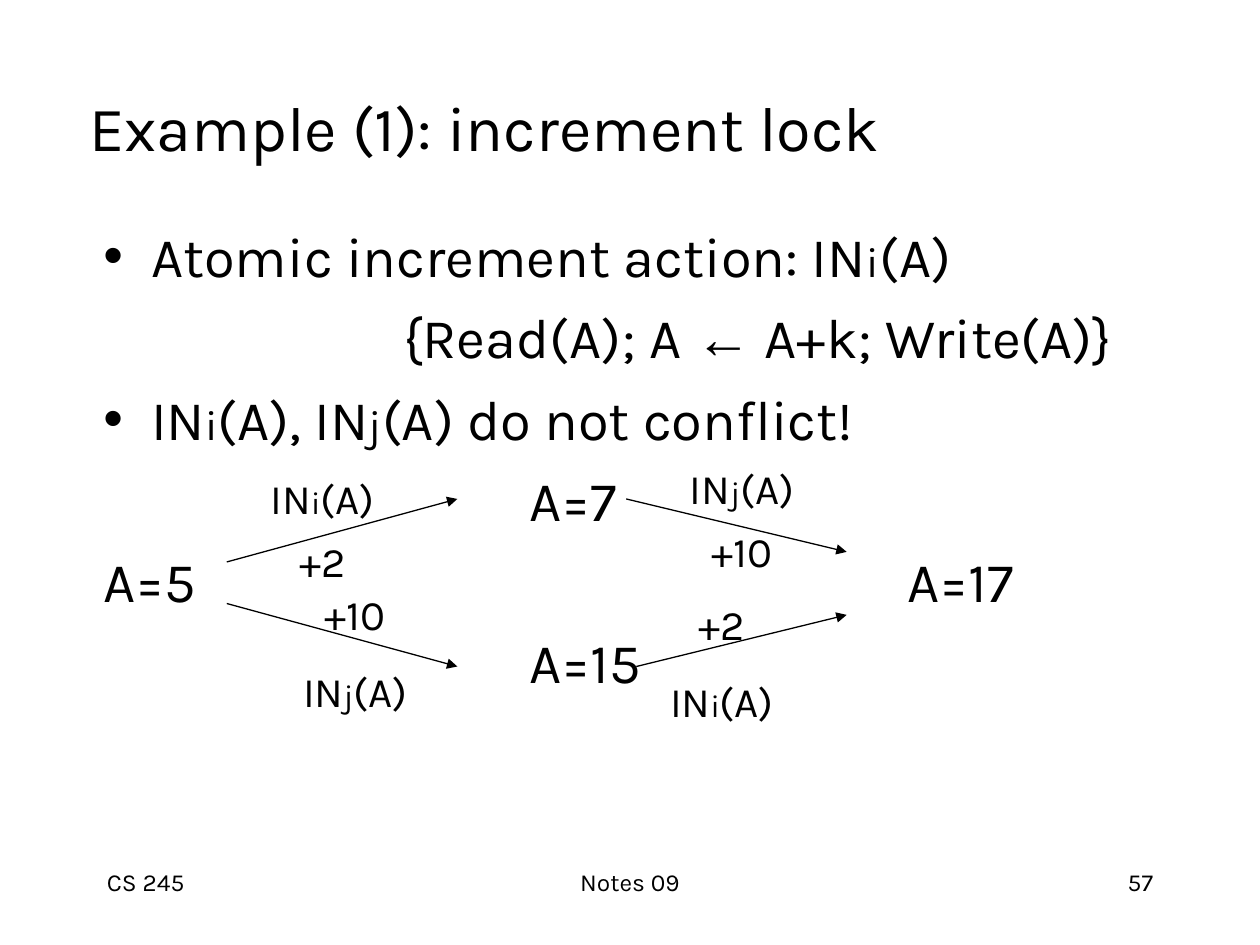
from dataclasses import dataclass
from lxml import etree
from pptx import Presentation
from pptx.dml.color import RGBColor
from pptx.enum.shapes import MSO_CONNECTOR
from pptx.enum.text import MSO_ANCHOR, MSO_AUTO_SIZE, PP_ALIGN
from pptx.oxml.ns import qn
from pptx.util import Inches, Pt

LEFT, MID, RIGHT = PP_ALIGN.LEFT, PP_ALIGN.CENTER, PP_ALIGN.RIGHT
TOP, CENTRE = MSO_ANCHOR.TOP, MSO_ANCHOR.MIDDLE
FIXED, GROW = MSO_AUTO_SIZE.NONE, MSO_AUTO_SIZE.SHAPE_TO_FIT_TEXT
STRAIGHT = MSO_CONNECTOR.STRAIGHT


@dataclass(frozen=True)
class Theme:
    """Colours, fonts and type sizes in points."""
    ink: RGBColor = RGBColor(0, 0, 0)
    paper: RGBColor = RGBColor(255, 255, 255)
    font: str = "Karla"
    sign: str = "Arial"
    title: int = 36
    body: tuple = (32, 24)
    label: tuple = (24, 18)
    foot: int = 14
    line: float = 0.75


THEME = Theme()


def place(shape, box):
    """Move a shape to a box given in inches."""
    shape.left, shape.top, shape.width, shape.height = map(Inches, box)


def setup(frame, anchor=TOP, wrap=True, fit=FIXED):
    """Set how a text frame lays out its text."""
    frame.word_wrap = wrap
    frame.auto_size = fit
    frame.vertical_anchor = anchor


def add_para(frame, first, align=LEFT, before=0):
    """Return the next paragraph of a frame, spaced from the one above."""
    para = frame.paragraphs[0] if first else frame.add_paragraph()
    para.alignment = align
    para.space_before = Pt(0 if first else before)
    return para


def add_run(para, text, size, font=THEME.font):
    """Add one styled run."""
    run = para.add_run()
    run.text = text
    run.font.size = Pt(size)
    run.font.name = font
    run.font.color.rgb = THEME.ink


def add_parts(para, parts, sizes):
    """Add runs, with index letters small and the arrow in the sign font."""
    for part in parts:
        size = sizes[1] if part in ("i", "j") else sizes[0]
        add_run(para, part, size, THEME.sign if part == "←" else THEME.font)


def add_list(para, bullet):
    """Give a paragraph its hanging indent, bullet and one-inch tabs."""
    props = para._p.get_or_add_pPr()
    props.set("marL", str(Inches(0.38)))
    props.set("indent", str(-Inches(0.38)))
    props.set("defTabSz", str(Inches(1)))
    if bullet:
        tint = etree.SubElement(props, qn("a:buClr"))
        etree.SubElement(tint, qn("a:srgbClr"), val=str(THEME.ink))
        etree.SubElement(props, qn("a:buFont"), typeface=THEME.sign)
        etree.SubElement(props, qn("a:buChar"), char="•")
    else:
        etree.SubElement(props, qn("a:buNone"))
    tabs = etree.SubElement(props, qn("a:tabLst"))
    for stop in range(8):
        etree.SubElement(tabs, qn("a:tab"), pos=str(Inches(stop + bullet)), algn="l")


def add_title(slide, box, text):
    """Fill the title placeholder."""
    shape = slide.shapes.title
    place(shape, box)
    setup(shape.text_frame, CENTRE)
    add_run(add_para(shape.text_frame, True), text, THEME.title)


def add_body(slide, box, lines):
    """Fill the body placeholder with bulleted and tabbed lines."""
    shape = slide.placeholders[1]
    place(shape, box)
    setup(shape.text_frame)
    for num, (bullet, parts) in enumerate(lines):
        para = add_para(shape.text_frame, num == 0, before=8)
        add_list(para, bullet)
        add_parts(para, parts, THEME.body)


def add_arrow(slide, start, end):
    """Draw a thin line with a head at its end."""
    line = slide.shapes.add_connector(STRAIGHT, *map(Inches, start + end))
    line.line.color.rgb = THEME.ink
    line.line.width = Pt(THEME.line)
    etree.SubElement(line.line._get_or_add_ln(), qn("a:tailEnd"), type="triangle")
    etree.SubElement(line._element.spPr, qn("a:effectLst"))


def add_label(slide, box, rows, tight):
    """Add a two-row label, with its second row tight if asked."""
    frame = slide.shapes.add_textbox(*map(Inches, box)).text_frame
    setup(frame, CENTRE, False, GROW)
    for num, parts in enumerate(rows):
        para = add_para(frame, num == 0, MID, 15)
        if num and tight:
            para.line_spacing = 0.7
        add_parts(para, parts, THEME.label)


def add_graph(slide, box):
    """Draw the two paths of increments inside a box."""
    left, top, wide, high = box
    right, base = left + wide, top + high
    for start, end in (
        ((left, top + 0.5), (left + 1.83, top)),
        ((left, base - 0.5), (left + 1.83, base)),
        ((right - 1.75, top), (right, top + 0.42)),
        ((right - 1.67, base), (right, base - 0.41)),
    ):
        add_arrow(slide, start, end)
    for shift, drop, name, step, upper in (
        (0.24, -0.26, "i", "+2", True),
        (3.57, -0.34, "j", "+10", True),
        (0.5, 0.66, "j", "+10", False),
        (3.41, 0.74, "i", "+2", False),
    ):
        rows = [["IN", name, "(A)"], [step]]
        spot = (left + shift, top + drop, 1.04, 0.99 if upper else 1.11)
        add_label(slide, spot, rows if upper else rows[::-1], upper)


def add_foot(slide, box):
    """Add the course, the notes and the page number along the foot."""
    left, top, wide, high = box
    for text, shift, span, align in (
        ("CS 245", 0, 2.08, LEFT),
        ("Notes 09", (wide - 3.17) / 2, 3.17, MID),
        ("57", wide - 2.08, 2.08, RIGHT),
    ):
        spot = map(Inches, (left + shift, top, span, high))
        frame = slide.shapes.add_textbox(*spot).text_frame
        setup(frame)
        add_run(add_para(frame, True, align), text, THEME.foot)


def main():
    """Build and save the slide."""
    deck = Presentation()
    deck.slide_width, deck.slide_height = Inches(10), Inches(7.5)
    slide = deck.slides.add_slide(deck.slide_layouts[1])
    slide.background.fill.solid()
    slide.background.fill.fore_color.rgb = THEME.paper
    add_title(slide, (0.61, 0.38, 8.5, 1.25), "Example (1): increment lock")
    add_body(slide, (0.72, 1.71, 8.5, 4.5), (
        (True, ["Atomic increment action: IN", "i", "(A)"]),
        (False, ["\t\t\t{Read(A); A ", "←", " A+k; Write(A)}"]),
        (True, ["IN", "i", "(A), IN", "j", "(A) do not conflict!"]),
        (False, ["\t\t\t\tA=7"]),
        (False, ["A=5\t\t\t\t\t\tA=17"]),
        (False, ["\t\t\t\tA=15"]),
    ))
    add_graph(slide, (1.8, 3.96, 4.92, 1.33))
    add_foot(slide, (0.75, 6.83, 8.5, 0.5))
    deck.save("out.pptx")


if __name__ == "__main__":
    main()
